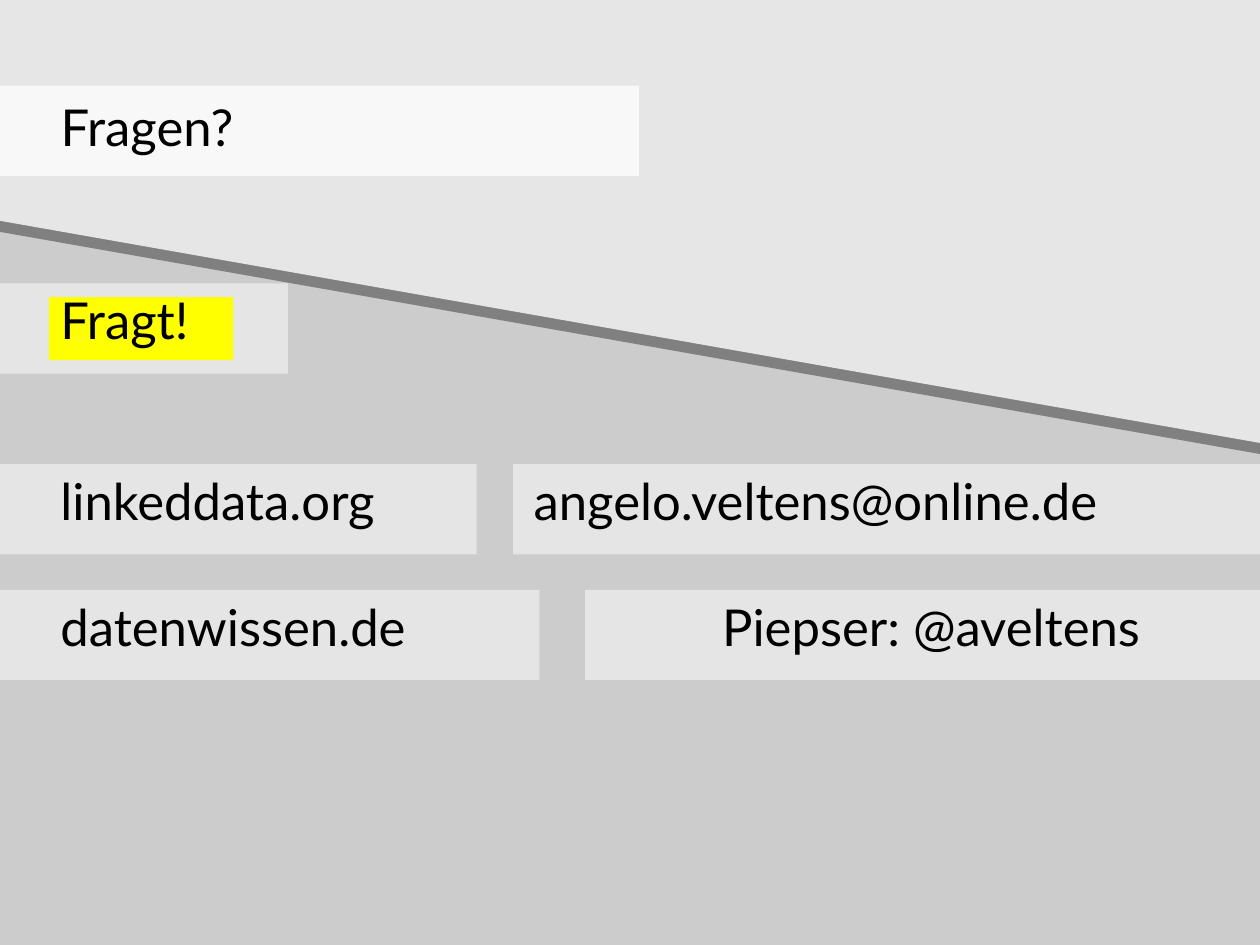
from lxml import etree
from pptx import Presentation
from pptx.dml.color import RGBColor
from pptx.enum import shapes, text
from pptx.oxml import ns
from pptx.util import Inches, Pt

BLACK = RGBColor(0x00, 0x00, 0x00)
WHITE = RGBColor(0xFF, 0xFF, 0xFF)
YELLOW = RGBColor(0xFF, 0xFF, 0x00)
GROUND = RGBColor(0xCC, 0xCC, 0xCC)
SLOPE = RGBColor(0xE6, 0xE6, 0xE6)
EDGE = RGBColor(0x80, 0x80, 0x80)

CM_PER_INCH = 2.54
WIDTH, HEIGHT = 28 / CM_PER_INCH, 21 / CM_PER_INCH
BAR_HEIGHT = 0.79
LABEL_HEIGHT = 0.87
MARGIN = 0.43
ASK_TOP, LINK_TOP, SITE_TOP = 2.48, 4.06, 5.16


def write(frame, wording, font="Lato", size=32, color=BLACK):
    frame.word_wrap = True
    frame.auto_size = text.MSO_AUTO_SIZE.SHAPE_TO_FIT_TEXT
    frame.vertical_anchor = text.MSO_ANCHOR.TOP
    frame.margin_left = frame.margin_right = Inches(0.1)
    frame.margin_top = frame.margin_bottom = Inches(0.05)
    paragraph = frame.paragraphs[0]
    paragraph.alignment = text.PP_ALIGN.LEFT
    run = paragraph.add_run()
    run.text = wording
    run.font.name = font
    run.font.size = Pt(size)
    run.font.color.rgb = color


class QuestionSlide:
    def __init__(self, deck):
        self.slide = deck.slides.add_slide(deck.slide_layouts[5])
        self.shapes = self.slide.shapes

    def block(self, left, top, width, height, color, opacity=100):
        block = self.shapes.add_shape(
            shapes.MSO_SHAPE.RECTANGLE,
            Inches(left), Inches(top), Inches(width), Inches(height))
        block.shadow.inherit = False
        block.fill.solid()
        block.fill.fore_color.rgb = color
        block.line.fill.background()
        if opacity < 100:
            tint = block._element.spPr.find(".//" + ns.qn("a:srgbClr"))
            etree.SubElement(tint, ns.qn("a:alpha"), val=str(opacity * 1000))
        return block

    def slope(self, left, top, width, height, angle):
        slope = self.block(left, top, width, height, SLOPE)
        slope.rotation = angle
        effects = slope._element.spPr.find(ns.qn("a:effectLst"))
        shadow = etree.SubElement(
            effects, ns.qn("a:outerShdw"), blurRad="0", dist=str(Pt(12)),
            dir=str(45 * 60000), algn="tl", rotWithShape="0")
        etree.SubElement(shadow, ns.qn("a:srgbClr"), val=str(EDGE))

    def bar(self, left, top, width, layers=1):
        for _ in range(layers):
            self.block(left, top, width, BAR_HEIGHT, WHITE, opacity=50)

    def title(self, wording, left, top, width):
        title = self.shapes.title
        title.left, title.top = Inches(left), Inches(top)
        title.width, title.height = Inches(width), Inches(LABEL_HEIGHT)
        write(title.text_frame, wording)
        self.shapes._spTree.append(title._element)

    def label(self, wording, left, top, width):
        label = self.shapes.add_textbox(
            Inches(left), Inches(top), Inches(width), Inches(LABEL_HEIGHT))
        write(label.text_frame, wording)


def main():
    deck = Presentation()
    deck.slide_width, deck.slide_height = Inches(WIDTH), Inches(HEIGHT)
    page = QuestionSlide(deck)

    page.block(0, 1.77, WIDTH, HEIGHT - 1.77, GROUND)
    page.slope(-0.46, -2.07, 12.33, 4.97, 10)

    page.bar(0, ASK_TOP, 2.52)
    page.bar(0, 0.75, 5.59, layers=2)
    page.title("Fragen?", MARGIN, 0.79, 5.08)

    page.block(MARGIN, 2.6, 1.61, 0.55, YELLOW)
    page.label("Fragt!", MARGIN, ASK_TOP, 5.08)

    contacts = [
        ("linkeddata.org", LINK_TOP, 0, 4.17, MARGIN, 5.08),
        ("datenwissen.de", SITE_TOP, 0, 4.72, MARGIN, 5.08),
        ("angelo.veltens@online.de", LINK_TOP, 4.49, 6.54, 4.57, 6.89),
        ("Piepser: @aveltens", SITE_TOP, 5.12, 5.91, 6.22, 4.8),
    ]
    for wording, top, bar_left, bar_width, label_left, label_width in contacts:
        page.bar(bar_left, top, bar_width)
        page.label(wording, label_left, top, label_width)

    deck.save("out.pptx")


if __name__ == "__main__":
    main()
